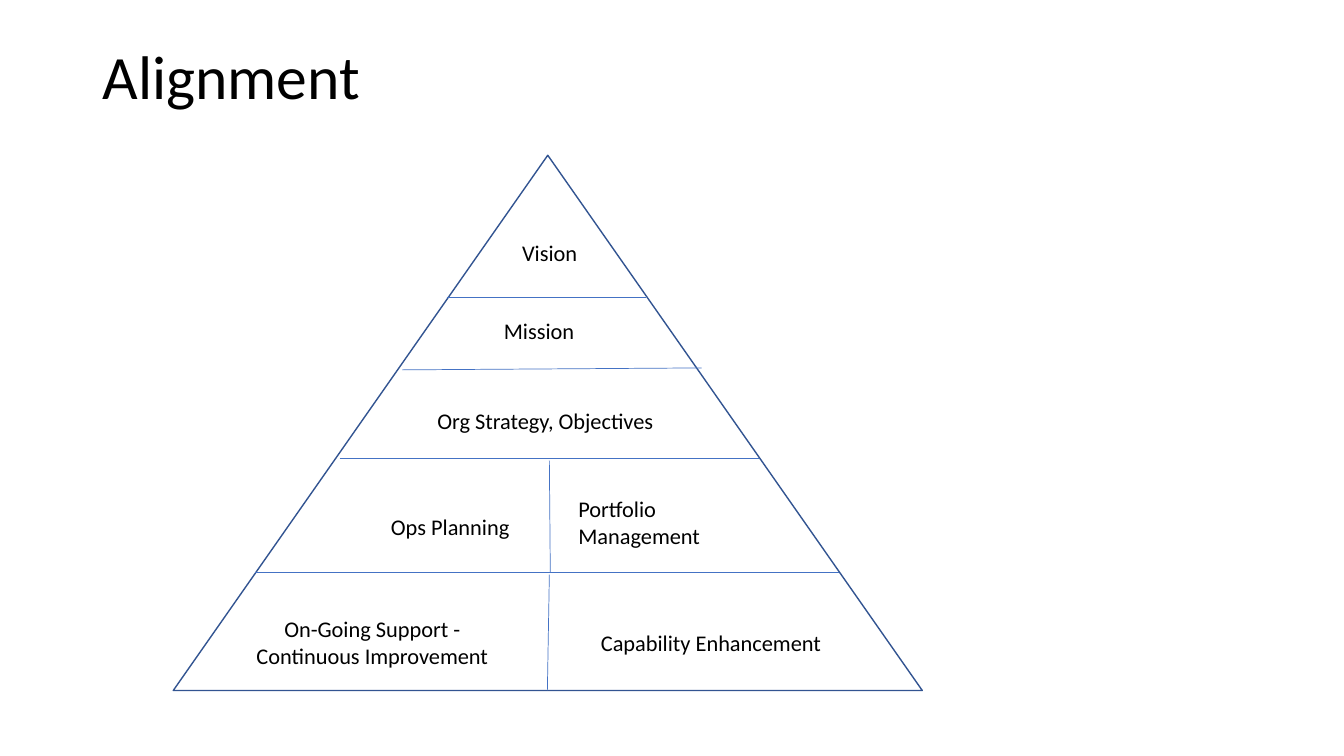
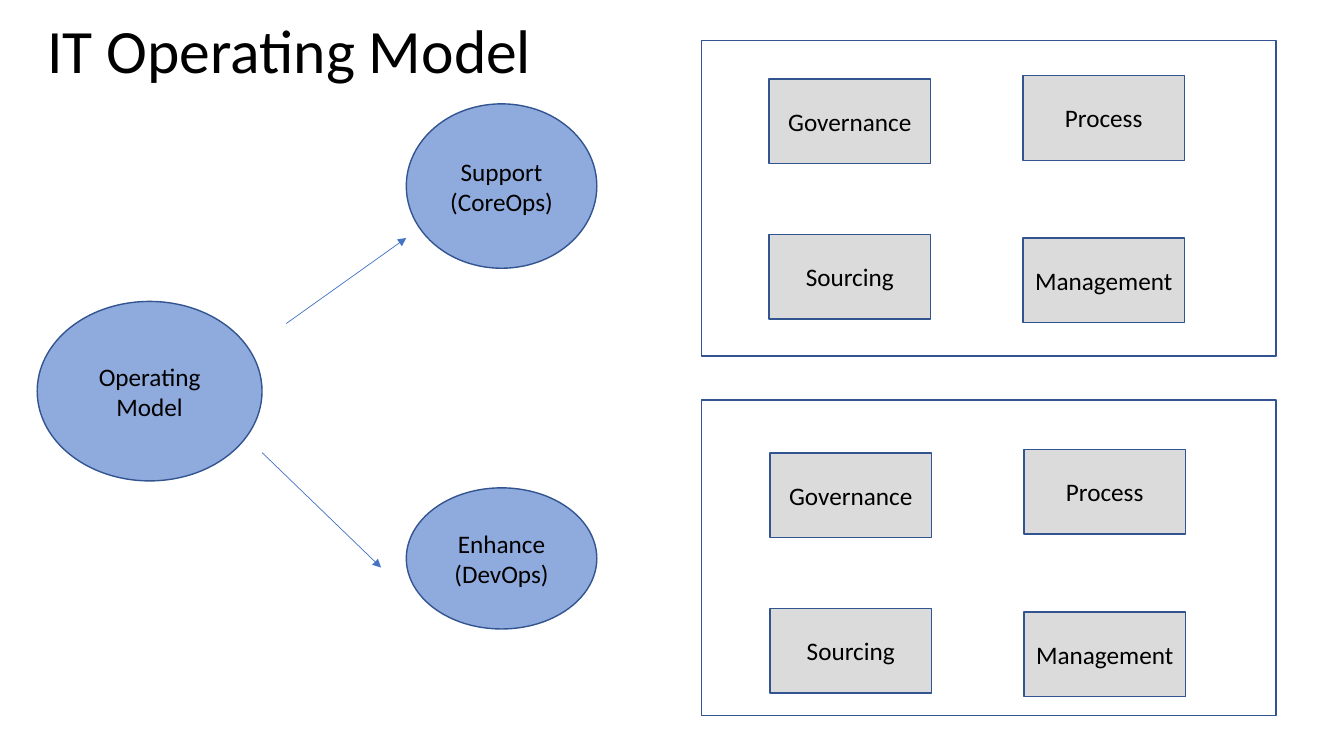
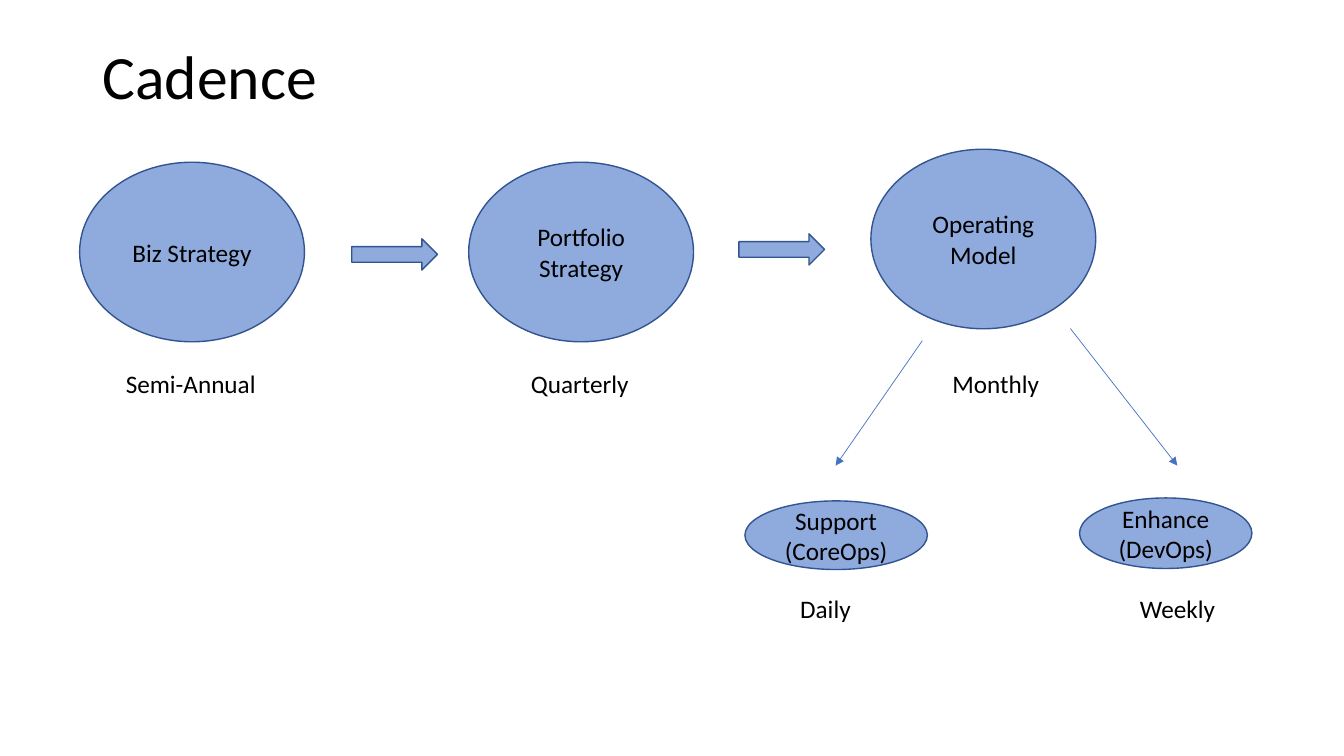
"""Build three slides on alignment, the IT operating model and cadence."""
from lxml.etree import SubElement
from pptx import Presentation
from pptx.dml.color import RGBColor
from pptx.enum.shapes import MSO_CONNECTOR, MSO_SHAPE
from pptx.enum.text import MSO_ANCHOR, PP_ALIGN
from pptx.oxml.ns import qn
from pptx.util import Pt

FONT = "Calibri"
COLORS = {"text": "000000", "outline": "325491", "line": "4472C4",
          "bubble": "8FAADC", "tile": "DBDBDB"}
TITLE_SIZE, PYRAMID_SIZE, BODY_SIZE = 44, 16, 18
TITLE_WIDTH, TITLE_HEIGHT = 828, 56.2
TITLE_PLACE = (66.2, 28.8)
LABEL_HEIGHT, TWO_LINE_HEIGHT = 26.6, 46.1
SUPPORT = ["Support", "(CoreOps)"]
ENHANCE = ["Enhance", "(DevOps)"]

PYRAMID = (123.8, 110.9, 535, 382.3)
PYRAMID_DIVIDERS = [
    (182.2, 409, 599, 409),
    (242.6, 327.6, 542.2, 327.6),
    (287.3, 264.2, 501.1, 262.8),
    (392.4, 329, 393.1, 409),
    (319, 212.4, 461.5, 212.4),
    (392.4, 410.4, 391, 493.2),
]
PYRAMID_LABELS = [
    ("Vision", 365.8, 167, 80.6, LABEL_HEIGHT, PP_ALIGN.LEFT),
    ("Org Strategy, Objectives", 305.3, 287.3, 171.4, LABEL_HEIGHT, PP_ALIGN.LEFT),
    ("Ops Planning", 272.2, 362.9, 110.2, LABEL_HEIGHT, PP_ALIGN.LEFT),
    ("Portfolio Management", 406.1, 349.9, 110.2, TWO_LINE_HEIGHT, PP_ALIGN.LEFT),
    ("Mission", 352.8, 223.2, 80.6, LABEL_HEIGHT, PP_ALIGN.LEFT),
    ("On-Going Support - Continuous Improvement",
     166.3, 435.6, 199.4, TWO_LINE_HEIGHT, PP_ALIGN.CENTER),
    ("Capability Enhancement", 408.2, 445.7, 199.4, LABEL_HEIGHT, PP_ALIGN.CENTER),
]

MODEL_BUBBLES = [
    (["Operating Model"], 26.6, 215.3, 160.6, 128.2),
    (SUPPORT, 290.2, 74.2, 136.1, 117.4),
    (ENHANCE, 290.2, 348.5, 136.1, 100.8),
]
MODEL_ARROWS = [(204.5, 231.1, 290.2, 170), (187.2, 323.3, 272.2, 405.4)]
PANEL_LEFT, PANEL_WIDTH, PANEL_HEIGHT = 501.1, 410.4, 225.4
PANEL_TOPS = [28.8, 285.8]
TILE_ORIGINS = [(549.4, 54), (550.1, 321.1)]
TILE_SIZE = (115.2, 60.5)
TILES = [("Governance", 0, 2.5), ("Process", 181.4, 0),
         ("Sourcing", 0, 113.5), ("Management", 181.4, 116)]

CADENCE_BUBBLES = [
    (["Biz Strategy"], 56.9, 115.9, 160.6, 128.2),
    (["Portfolio Strategy"], 334.8, 115.9, 160.6, 128.2),
    (["Operating Model"], 622.1, 106.6, 160.6, 128.2),
    (SUPPORT, 532.1, 357.8, 130.3, 49),
    (ENHANCE, 771.1, 355.7, 123.1, 50.4),
]
BLOCK_ARROWS = [(251.3, 170.6), (527.8, 167)]
BLOCK_ARROW_SIZE = (61.2, 22.3)
CADENCE_ROWS = [
    (259.9, [("Semi-Annual", 82.8, 108), ("Quarterly", 372.2, 85), ("Monthly", 673.2, 77)]),
    (420.5, [("Daily", 564.5, 51.1), ("Weekly", 807.1, 69.1)]),
]
CADENCE_ARROWS = [(658.8, 243.4, 596.9, 332.6), (764.6, 234.7, 841, 332.6)]


def color(name):
    return RGBColor.from_string(COLORS[name])


def write(frame, lines, size, align):
    frame.text = "\n".join(lines)
    for para in frame.paragraphs:
        para.alignment = align
        para.font.name = FONT
        para.font.size = Pt(size)
        para.font.color.rgb = color("text")


def add_text(page, text, place, size, align=PP_ALIGN.LEFT, wrap=True):
    box = page.shapes.add_textbox(*map(Pt, place))
    box.text_frame.word_wrap = wrap
    write(box.text_frame, [text], size, align)
    return box


def add_box(page, preset, place, fill=None, lines=()):
    shape = page.shapes.add_shape(preset, *map(Pt, place))
    shape.shadow.inherit = False
    shape.line.color.rgb = color("outline")
    shape.line.width = Pt(1)
    if fill:
        shape.fill.solid()
        shape.fill.fore_color.rgb = color(fill)
    else:
        shape.fill.background()
    if lines:
        shape.text_frame.vertical_anchor = MSO_ANCHOR.MIDDLE
        write(shape.text_frame, lines, BODY_SIZE, PP_ALIGN.CENTER)


def add_line(page, ends, arrow=False):
    line = page.shapes.add_connector(MSO_CONNECTOR.STRAIGHT, *map(Pt, ends))
    line.line.color.rgb = color("line")
    line.line.width = Pt(0.5)
    properties = line._element.spPr
    if arrow:
        SubElement(properties.find(qn("a:ln")), qn("a:tailEnd"), type="triangle")
    SubElement(properties, qn("a:effectLst"))


def add_page(deck, title, left, top):
    page = deck.slides.add_slide(deck.slide_layouts[6])
    box = add_text(page, title, (left, top, TITLE_WIDTH, TITLE_HEIGHT), TITLE_SIZE)
    box.text_frame.vertical_anchor = MSO_ANCHOR.MIDDLE
    box.text_frame.paragraphs[0].line_spacing = 0.9
    return page


def add_bubbles(page, bubbles):
    for lines, *place in bubbles:
        add_box(page, MSO_SHAPE.OVAL, place, "bubble", lines)


def build_alignment(deck):
    page = add_page(deck, "Alignment", *TITLE_PLACE)
    add_box(page, MSO_SHAPE.ISOSCELES_TRIANGLE, PYRAMID)
    for ends in PYRAMID_DIVIDERS:
        add_line(page, ends)
    for text, *place, align in PYRAMID_LABELS:
        add_text(page, text, place, PYRAMID_SIZE, align)


def build_operating_model(deck):
    page = add_page(deck, "IT Operating Model", 26.6, 10.1)
    add_bubbles(page, MODEL_BUBBLES)
    for left, top in TILE_ORIGINS:
        for text, across, down in TILES:
            place = (left + across, top + down, *TILE_SIZE)
            add_box(page, MSO_SHAPE.RECTANGLE, place, "tile", [text])
    for ends in MODEL_ARROWS:
        add_line(page, ends, arrow=True)
    for top in PANEL_TOPS:
        add_box(page, MSO_SHAPE.RECTANGLE, (PANEL_LEFT, top, PANEL_WIDTH, PANEL_HEIGHT))


def build_cadence(deck):
    page = add_page(deck, "Cadence", *TITLE_PLACE)
    add_bubbles(page, CADENCE_BUBBLES)
    for left, top in BLOCK_ARROWS:
        add_box(page, MSO_SHAPE.RIGHT_ARROW, (left, top, *BLOCK_ARROW_SIZE), "bubble")
    for top, labels in CADENCE_ROWS:
        for text, left, width in labels:
            add_text(page, text, (left, top, width, 28.8), BODY_SIZE, wrap=False)
    for ends in CADENCE_ARROWS:
        add_line(page, ends, arrow=True)


deck = Presentation()
deck.slide_width, deck.slide_height = Pt(960), Pt(540)
build_alignment(deck)
build_operating_model(deck)
build_cadence(deck)
deck.save("out.pptx")
